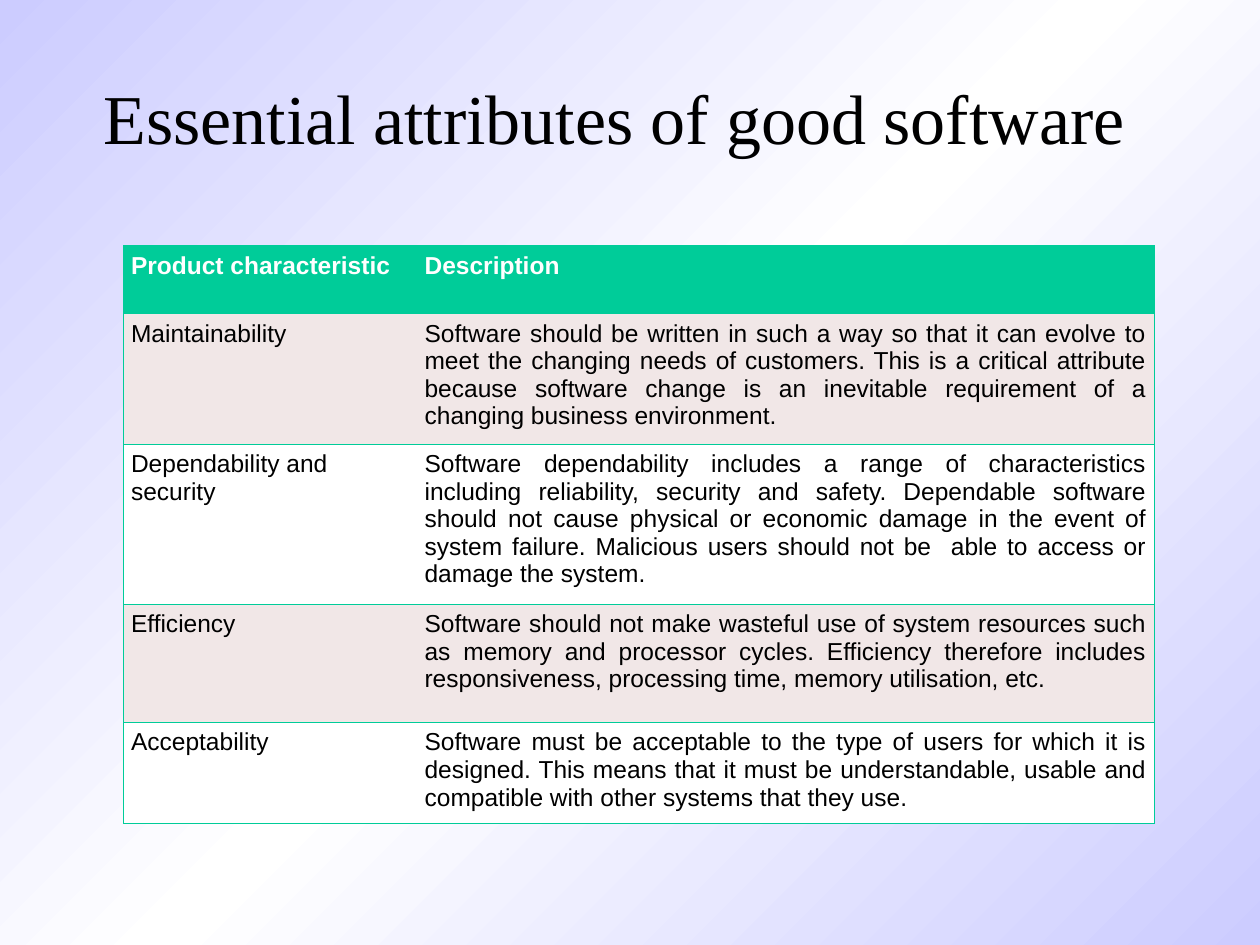
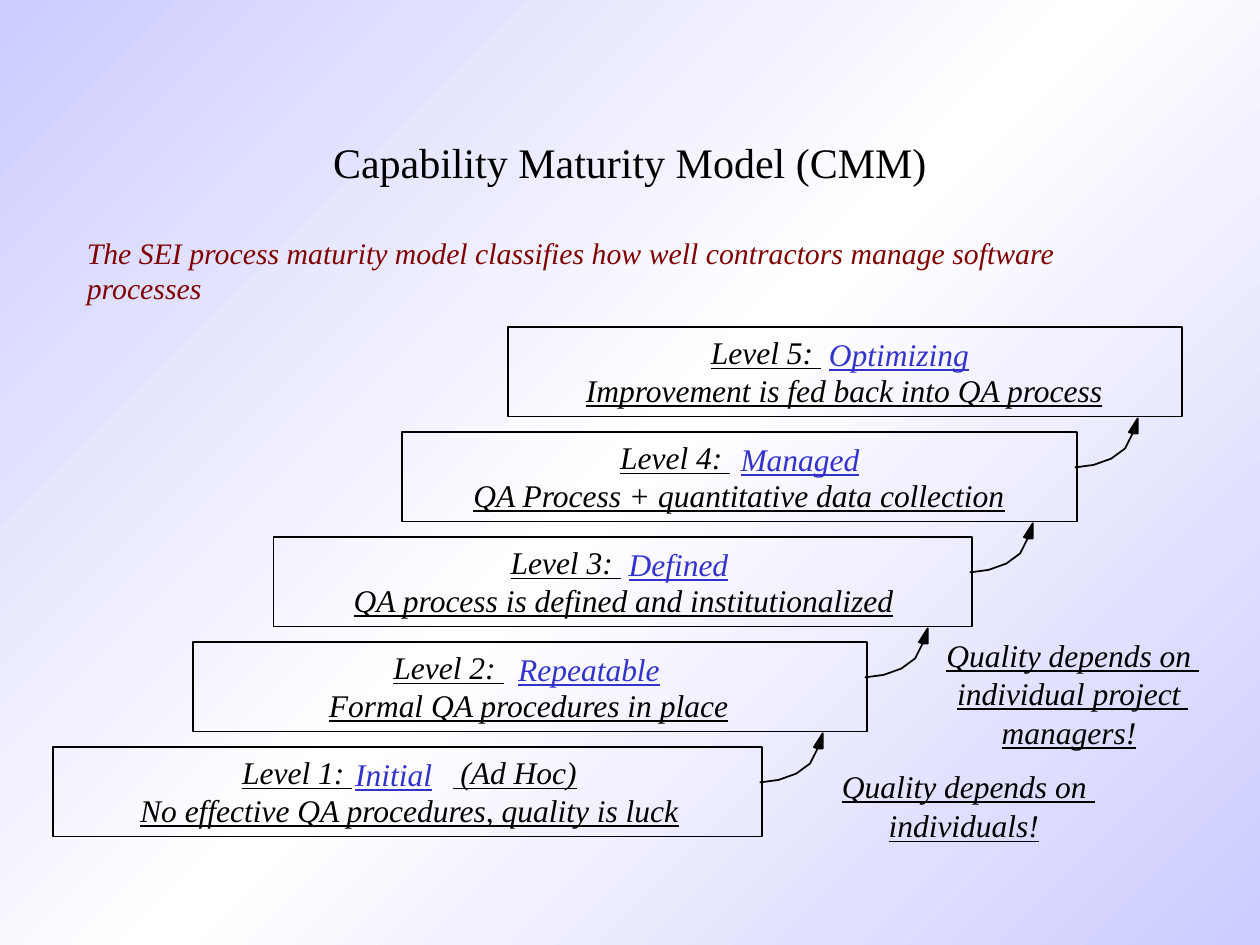
from copy import deepcopy
from dataclasses import dataclass
from typing import Optional

from lxml.etree import SubElement
from pptx import Presentation
from pptx.dml.color import RGBColor
from pptx.enum.shapes import MSO_SHAPE
from pptx.enum.text import MSO_ANCHOR, MSO_AUTO_SIZE, PP_ALIGN
from pptx.oxml.ns import qn
from pptx.shapes.autoshape import Shape
from pptx.slide import Slide
from pptx.table import _Cell as Cell
from pptx.text.text import TextFrame
from pptx.util import Inches, Pt


# Theme
@dataclass(frozen=True)
class Theme:
    ink: str = "000000"
    paper: str = "FFFFFF"
    mist: str = "CCCCFF"
    green: str = "00CC99"
    blush: str = "F1E7E7"
    maroon: str = "7F0101"
    blue: str = "3333CC"
    serif: str = "Times New Roman"
    sans: str = "Arial"
    large_title: int = 40
    small_title: int = 24
    step_size: int = 18
    intro_size: int = 17
    table_size: int = 14
    outline: float = 1
    grid_line: float = 0.45


THEME = Theme()


@dataclass(frozen=True)
class Style:
    size: int
    color: str = THEME.ink
    font: str = THEME.serif
    bold: bool = False
    italic: bool = False
    underline: bool = False
    align: PP_ALIGN = PP_ALIGN.LEFT


@dataclass(frozen=True)
class Label:
    text: str
    left: float
    width: float
    top: float = 0


@dataclass(frozen=True)
class Level:
    box_left: float
    number: Label
    name: Label
    practice: Label
    remark: Optional[Label] = None


# Slide 1 content
ATTRIBUTES = [
    ("Product characteristic", "Description"),
    ("Maintainability",
     "Software should be written in such a way so that it can evolve to meet the "
     "changing needs of customers. This is a critical attribute because software "
     "change is an inevitable requirement of a changing business environment."),
    ("Dependability and security",
     "Software dependability includes a range of characteristics including "
     "reliability, security and safety. Dependable software should not cause "
     "physical or economic damage in the event of system failure. Malicious users "
     "should not be  able to access or damage the system."),
    ("Efficiency",
     "Software should not make wasteful use of system resources such as memory and "
     "processor cycles. Efficiency therefore includes responsiveness, processing "
     "time, memory utilisation, etc."),
    ("Acceptability",
     "Software must be acceptable to the type of users for which it is designed. "
     "This means that it must be understandable, usable and compatible with other "
     "systems that they use."),
]
COLUMN_WIDTHS = (2.33, 5.85)
ROW_HEIGHTS = (0.54, 1.03, 1.27, 0.94, 0.8)
NO_STYLE_NO_GRID = "{2D5ABB26-0587-4C30-8999-92F81FD0307C}"

# Slide 2 content, from the lowest level up
LEVELS = [
    Level(0.42, Label("Level 1: ", 1.92, 0.88), Label("Initial", 2.82, 0.61),
          Label("No effective QA procedures, quality is luck", 1.1, 4.3),
          Label(" (Ad Hoc)", 3.59, 0.99)),
    Level(1.53, Label("Level 2: ", 3.12, 0.88), Label("Repeatable", 4.11, 1.13),
          Label("Formal QA procedures in place", 2.6, 3.19)),
    Level(2.17, Label("Level 3: ", 4.05, 0.88), Label("Defined", 4.99, 0.79),
          Label("QA process is defined and institutionalized", 2.8, 4.3)),
    Level(3.19, Label("Level 4: ", 4.92, 0.88), Label("Managed", 5.88, 0.94),
          Label("QA Process + quantitative data collection", 3.75, 4.23)),
    Level(4.03, Label("Level 5: ", 5.64, 0.88), Label("Optimizing", 6.58, 1.11),
          Label("Improvement is fed back into QA process", 4.64, 4.12)),
]
QUALITY_NOTES = [
    Label("Quality depends on ", 7.51, 2.01, 5.05),
    Label("individual project ", 7.59, 1.85, 5.35),
    Label("managers!", 7.95, 1.07, 5.66),
    Label("Quality depends on ", 6.68, 2.01, 6.09),
    Label("individuals!", 7.05, 1.2, 6.4),
]
FIRST_TOP, FIRST_RIGHT = 5.93, 6.05
STEP = 2.5 / 3
BOX_HEIGHT, LINE_HEIGHT = 0.71, 0.3
LABEL_SLACK = 0.03  # room on each side, so that no label breaks

# Arrow outlines, measured from the start of the curve
ARROW_CURVE = [(0, 0), (0.15, -0.02), (0.29, -0.07), (0.4, -0.15), (0.46, -0.27)]
ARROW_HEAD = [(0.46, -0.27), (0.43, -0.28), (0.5, -0.39), (0.5, -0.27)]


def rgb(color: str) -> RGBColor:
    return RGBColor.from_string(color)


# Shared parts
def write(frame: TextFrame, text: str, style: Style) -> None:
    frame.text = text
    paragraph = frame.paragraphs[0]
    paragraph.alignment = style.align
    font = paragraph.runs[0].font
    font.name, font.size = style.font, Pt(style.size)
    font.bold, font.italic, font.underline = style.bold, style.italic, style.underline
    font.color.rgb = rgb(style.color)


def add_text(slide: Slide, left: float, top: float, width: float, height: float,
             text: str, style: Style) -> TextFrame:
    frame = slide.shapes.add_textbox(
        Inches(left), Inches(top), Inches(width), Inches(height)).text_frame
    frame.word_wrap = True
    write(frame, text, style)
    return frame


def add_titled_slide(prs: Presentation, title: str, left: float, top: float,
                     width: float, size: int) -> Slide:
    slide = prs.slides.add_slide(prs.slide_layouts[6])
    backdrop = slide.background.fill
    backdrop.gradient()
    backdrop.gradient_angle = 315
    stops = slide.element.find(".//" + qn("a:gsLst"))
    stops.append(deepcopy(stops[-1]))
    colors = (THEME.mist, THEME.paper, THEME.mist)
    for stop, position, color in zip(backdrop.gradient_stops, (0, 0.5, 1), colors):
        stop.position = position
        stop.color.rgb = rgb(color)
    frame = add_text(slide, left, top, width, 1.25, title,
                     Style(size, align=PP_ALIGN.CENTER))
    frame.vertical_anchor = MSO_ANCHOR.MIDDLE
    return slide


def outline(shape: Shape, fill: Optional[str] = None) -> None:
    shape.shadow.inherit = False
    if fill:
        shape.fill.solid()
        shape.fill.fore_color.rgb = rgb(fill)
    else:
        shape.fill.background()
    shape.line.color.rgb = rgb(THEME.ink)
    shape.line.width = Pt(THEME.outline)


# Attribute table
def add_borders(cell: Cell, sides: str) -> None:
    properties = cell._tc.get_or_add_tcPr()
    for side in sides:
        border = SubElement(properties, qn(f"a:ln{side}"),
                            w=str(Pt(THEME.grid_line)))
        paint = SubElement(border, qn("a:solidFill"))
        SubElement(paint, qn("a:srgbClr"), val=THEME.green)


def add_attribute_table(slide: Slide) -> None:
    frame = slide.shapes.add_table(
        len(ATTRIBUTES), len(COLUMN_WIDTHS), Inches(0.98), Inches(1.95),
        Inches(sum(COLUMN_WIDTHS)), Inches(sum(ROW_HEIGHTS)))
    table = frame.table
    frame.element.find(".//" + qn("a:tableStyleId")).text = NO_STYLE_NO_GRID
    for column, width in zip(table.columns, COLUMN_WIDTHS):
        column.width = Inches(width)
    for r, (row, height) in enumerate(zip(table.rows, ROW_HEIGHTS)):
        row.height = Inches(height)
        header = r == 0
        fill = THEME.green if header else (THEME.paper, THEME.blush)[r % 2]
        for c, cell in enumerate(row.cells):
            cell.margin_left = cell.margin_right = Inches(0.06)
            cell.margin_top = cell.margin_bottom = Inches(0.05)
            add_borders(cell, ("LTB", "RTB")[c])
            cell.fill.solid()
            cell.fill.fore_color.rgb = rgb(fill)
            write(cell.text_frame, ATTRIBUTES[r][c], Style(
                THEME.table_size, THEME.paper if header else THEME.ink, THEME.sans,
                bold=header, align=(PP_ALIGN.LEFT, PP_ALIGN.JUSTIFY)[c]))


# Maturity staircase
def add_label(slide: Slide, label: Label, top: float,
              color: str = THEME.ink) -> None:
    frame = add_text(slide, label.left - LABEL_SLACK, top,
                     label.width + 2 * LABEL_SLACK, LINE_HEIGHT, label.text,
                     Style(THEME.step_size, color, italic=True, underline=True,
                           align=PP_ALIGN.CENTER))
    frame.margin_left = frame.margin_right = 0
    frame.margin_top = frame.margin_bottom = 0
    frame.word_wrap = False
    frame.auto_size = MSO_AUTO_SIZE.SHAPE_TO_FIT_TEXT


def add_outline(slide: Slide, points: list[tuple[float, float]], x: float, y: float,
                fill: Optional[str] = None) -> None:
    (start_x, start_y), *rest = [(Inches(x + dx), Inches(y + dy)) for dx, dy in points]
    builder = slide.shapes.build_freeform(start_x, start_y)
    builder.add_line_segments(rest, close=fill is not None)
    outline(builder.convert_to_shape(), fill)


def add_level(slide: Slide, index: int, level: Level) -> None:
    top = FIRST_TOP - index * STEP
    right = FIRST_RIGHT + index * STEP
    box = slide.shapes.add_shape(
        MSO_SHAPE.RECTANGLE, Inches(level.box_left), Inches(top),
        Inches(right - level.box_left), Inches(BOX_HEIGHT))
    outline(box)
    add_label(slide, level.number, top + 0.05)
    add_label(slide, level.name, top + 0.06, THEME.blue)
    if level.remark:
        add_label(slide, level.remark, top + 0.05)
    add_label(slide, level.practice, top + 0.35)
    if index < len(LEVELS) - 1:
        add_outline(slide, ARROW_CURVE, right - 0.02, top + 0.28)
        add_outline(slide, ARROW_HEAD, right - 0.02, top + 0.28, THEME.ink)


def main() -> None:
    prs = Presentation()
    prs.slide_width, prs.slide_height = Inches(10), Inches(7.5)

    attributes = add_titled_slide(prs, "Essential attributes of good software",
                                  0.5, 0.3, 8.75, THEME.large_title)
    add_attribute_table(attributes)

    maturity = add_titled_slide(prs, "Capability Maturity Model (CMM)",
                                0.75, 0.66, 8.5, THEME.small_title)
    add_text(maturity, 0.59, 1.81, 8.82, 0.69,
             "The SEI process maturity model classifies how well contractors "
             "manage software processes",
             Style(THEME.intro_size, THEME.maroon, italic=True))
    for index, level in enumerate(LEVELS):
        add_level(maturity, index, level)
    for note in QUALITY_NOTES:
        add_label(maturity, note, note.top)

    prs.save("out.pptx")


if __name__ == "__main__":
    main()
